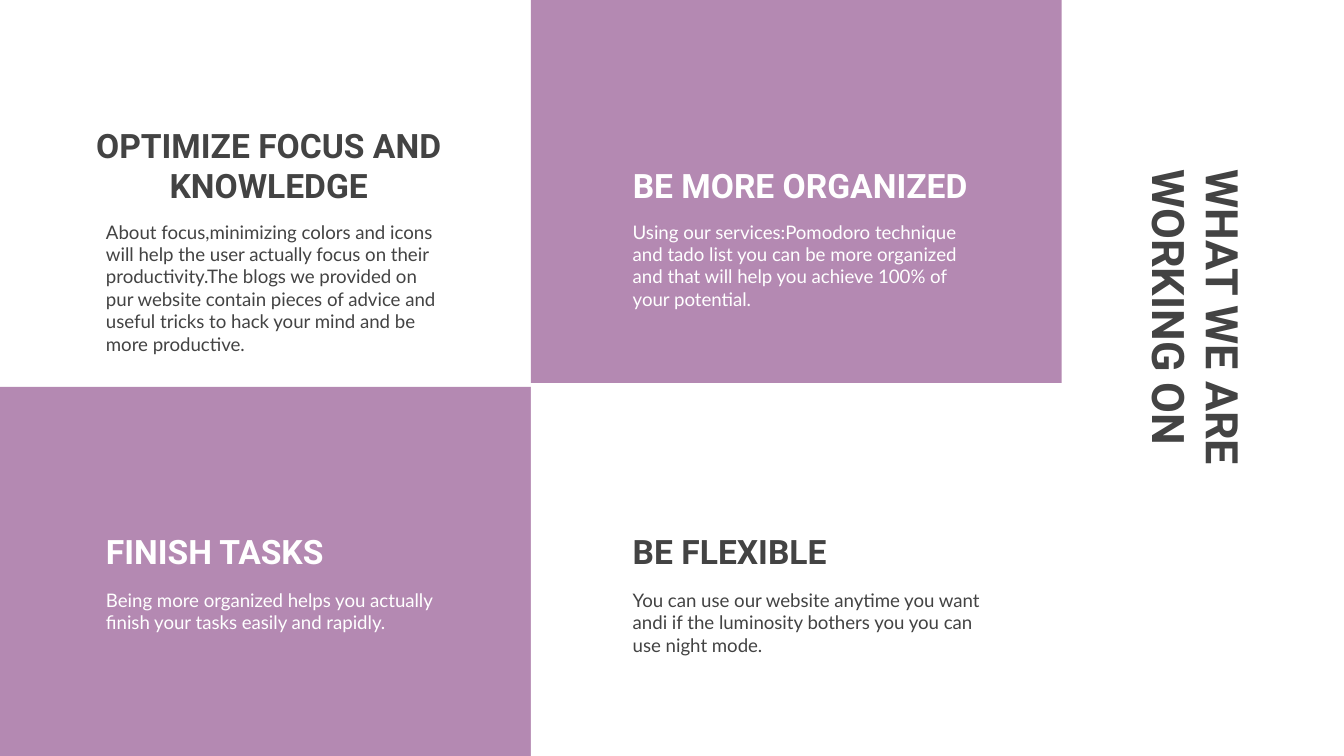
import pptx
import pptx.util
import pptx.dml.color
import pptx.enum.shapes
import pptx.enum.text

WIDE = 10
HIGH = WIDE * 9 / 16
COL, ROW = 3.95, 2.88
HUES = {"mauve": "B489B2", "white": "FFFFFF", "dark": "434343"}
ALIGN = pptx.enum.text.PP_ALIGN
ANCHOR = pptx.enum.text.MSO_ANCHOR
HEAD = {"name": "Roboto", "size": pptx.util.Pt(18), "bold": True}
BODY = {"name": "Lato", "size": pptx.util.Pt(10), "bold": False}
TITLE = {**HEAD, "size": pptx.util.Pt(24)}

# column, row, text colour, heading inset and width, heading, body width, body
CELLS = [
    (0, 0, "dark", (0.43, 3.14), "OPTIMIZE FOCUS AND KNOWLEDGE", 2.71,
     "About focus,minimizing colors and icons will help the user actually "
     "focus on their productivity.The blogs we provided on pur website "
     "contain pieces of advice and useful tricks to hack your mind and be "
     "more productive."),
    (1, 0, "white", (0.66, 2.95), "BE MORE ORGANIZED", 2.83,
     "Using our services:Pomodoro technique and tado list you can be more "
     "organized and that will help you achieve 100% of your potential."),
    (0, 1, "white", (0.69, 3.14), "FINISH TASKS", 2.71,
     "Being more organized helps you actually finish your tasks easily "
     "and rapidly."),
    (1, 1, "dark", (0.66, 2.83), "BE FLEXIBLE", 2.83,
     "You can use our website anytime you want andi if the luminosity "
     "bothers you you can use night mode."
     .replace("you you can", "you you can")),
]
CELLS[3] = CELLS[3][:6] + (
    "You can use our website anytime you want andi if the luminosity "
    "bothers you you can use night mode.",)


def inch(*nums):
    return [pptx.util.Inches(num) for num in nums]


def paint(tone):
    return pptx.dml.color.RGBColor.from_string(HUES[tone])


def write(shape, text, style, tone, anchor, align=ALIGN.LEFT):
    frame = shape.text_frame
    pad = pptx.util.Inches(0.1)
    form = {"word_wrap": True, "vertical_anchor": anchor,
            "auto_size": pptx.enum.text.MSO_AUTO_SIZE.NONE,
            "margin_left": pad, "margin_right": pad,
            "margin_top": pad, "margin_bottom": pad}
    for key, value in form.items():
        setattr(frame, key, value)
    para = frame.paragraphs[0]
    para.alignment = align
    para.line_spacing = 1.0
    run = para.add_run()
    run.text = text
    for key, value in style.items():
        setattr(run.font, key, value)
    run.font.color.rgb = paint(tone)


def add_title(slide):
    title = slide.shapes.title
    title.left, title.top, title.width, title.height = inch(
        7.31, 2.49, 3.19, 0.53)
    title.rotation = 90
    write(title, "WHAT WE ARE WORKING ON", TITLE, "dark", ANCHOR.MIDDLE)


def add_tile(slide, col, top, high, tone):
    tile = slide.shapes.add_shape(
        pptx.enum.shapes.MSO_SHAPE.RECTANGLE,
        *inch(col * COL, top, COL, high))
    tile.shadow.inherit = False
    tile.fill.solid()
    tile.fill.fore_color.rgb = paint(tone)
    tile.line.fill.background()


def add_cell(slide, col, row, tone, place, head, wide, body):
    """Add the heading and body text of one grid cell."""
    left = col * COL
    shift, span = place
    top = (0.92, 3.64)[row]
    align = ALIGN.LEFT if col or row else ALIGN.CENTER
    box = slide.shapes.add_textbox(*inch(left + shift, top, span, 0.71))
    write(box, head, HEAD, tone, ANCHOR.BOTTOM, align)
    inset = 0.66 if col else 0.69
    top = (1.54, 4.28)[row]
    box = slide.shapes.add_textbox(*inch(left + inset, top, wide, 0.82))
    write(box, body, BODY, tone, ANCHOR.TOP)


def main():
    deck = pptx.Presentation()
    deck.slide_width, deck.slide_height = inch(WIDE, HIGH)
    slide = deck.slides.add_slide(deck.slide_layouts[5])
    add_title(slide)
    add_tile(slide, 1, 0, 2.85, "mauve")
    add_tile(slide, 0, ROW, HIGH - ROW, "mauve")
    add_tile(slide, 1, ROW, HIGH - ROW, "white")
    for cell in CELLS:
        add_cell(slide, *cell)
    deck.save("out.pptx")


if __name__ == "__main__":
    main()
